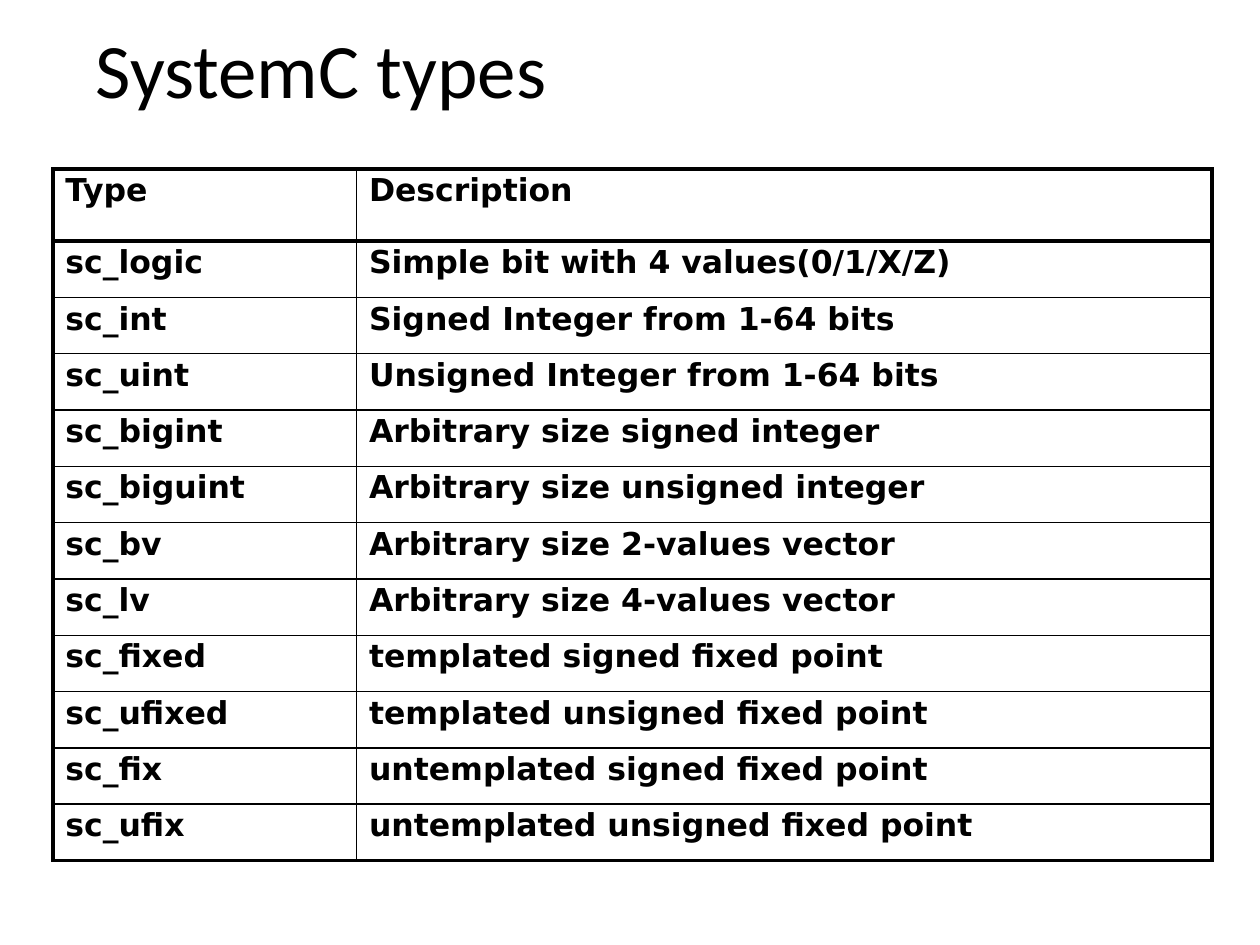
from dataclasses import dataclass

from lxml.etree import SubElement as Sub
from pptx import Presentation as Deck
from pptx.dml.color import RGBColor as Rgb
from pptx.enum.text import MSO_ANCHOR as Anchor, PP_ALIGN as Align
from pptx.oxml.ns import qn
from pptx.util import Pt

INK = {"text": "000000", "rule": "000000"}
THICK, THIN = 2.25, 1
COLS = (173.5, 489)
HEAD, ROW = 41.2, 32.2


@dataclass
class Entry:
    name: str
    note: str


ROWS = [
    Entry("Type", "Description"),
    Entry("sc_logic", "Simple bit with 4 values(0/1/X/Z)"),
    Entry("sc_int", "Signed Integer from 1-64 bits"),
    Entry("sc_uint", "Unsigned Integer from 1-64 bits"),
    Entry("sc_bigint", "Arbitrary size signed integer"),
    Entry("sc_biguint", "Arbitrary size unsigned integer"),
    Entry("sc_bv", "Arbitrary size 2-values vector"),
    Entry("sc_lv", "Arbitrary size 4-values vector"),
    Entry("sc_fixed", "templated signed fixed point"),
    Entry("sc_ufixed", "templated unsigned fixed point"),
    Entry("sc_fix", "untemplated signed fixed point"),
    Entry("sc_ufix", "untemplated unsigned fixed point"),
]


def style(para, face: str, size: float, bold: bool) -> None:
    para.line_spacing = 0.9
    para.alignment = Align.LEFT
    font = para.font
    font.name, font.size, font.bold = face, Pt(size), bold
    font.color.rgb = Rgb.from_string(INK["text"])


def edge(cell, sides: dict[str, float]) -> None:
    props = cell._tc.get_or_add_tcPr()
    for i, (side, width) in enumerate(sides.items()):
        line = Sub(props, qn(f"a:ln{side}"), w=str(Pt(width)))
        fill = Sub(line, qn("a:solidFill"))
        Sub(fill, qn("a:srgbClr"), val=INK["rule"])
        props.insert(i, line)


def fill_cell(cell, text: str, row: int, col: int) -> None:
    cell.text = text
    cell.fill.background()
    style(cell.text_frame.paragraphs[0], "DejaVu Sans", 18, True)
    edge(cell, {
        "L": THICK if col == 0 else THIN,
        "R": THICK if col == 1 else THIN,
        "T": THICK if row < 2 else THIN,
        "B": THICK if row in (0, len(ROWS) - 1) else THIN,
    })


def add_grid(slide) -> None:
    high = HEAD + ROW * (len(ROWS) - 1)
    frame = slide.shapes.add_table(len(ROWS), len(COLS), Pt(30.2), Pt(96.6),
                                   Pt(sum(COLS)), Pt(high))
    table = frame.table
    table.first_row = table.horz_banding = False
    for col, width in zip(table.columns, COLS):
        col.width = Pt(width)
    for r, entry in enumerate(ROWS):
        table.rows[r].height = Pt(ROW if r else HEAD)
        for c, text in enumerate((entry.name, entry.note)):
            fill_cell(table.cell(r, c), text, r, c)


def add_title(slide) -> None:
    title = slide.shapes.title
    title.left, title.top = Pt(47.5), Pt(11.5)
    title.width, title.height = Pt(620.6), Pt(60.5)
    title.text_frame.text = "SystemC types"
    title.text_frame.vertical_anchor = Anchor.MIDDLE
    style(title.text_frame.paragraphs[0], "Calibri", 44, False)


def main() -> None:
    deck = Deck()
    deck.slide_width, deck.slide_height = Pt(720), Pt(540)
    slide = deck.slides.add_slide(deck.slide_layouts[5])
    add_title(slide)
    add_grid(slide)
    deck.save("out.pptx")


if __name__ == "__main__":
    main()
